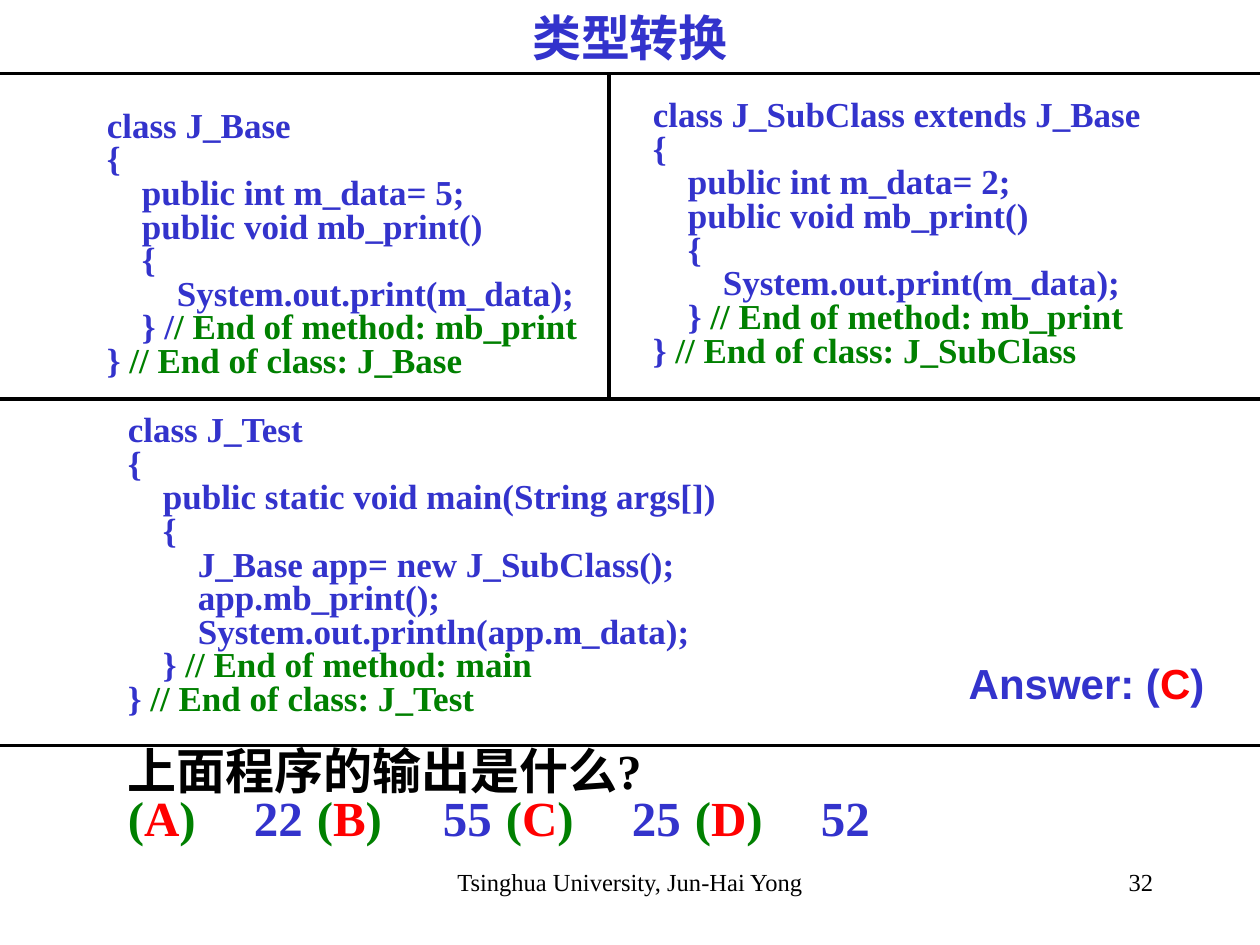
from lxml import etree
from pptx import Presentation
from pptx.dml.color import RGBColor
from pptx.enum.shapes import MSO_CONNECTOR, MSO_SHAPE
from pptx.enum.text import MSO_ANCHOR, PP_ALIGN
from pptx.oxml.ns import qn
from pptx.util import Pt

LEFT, CENTER, RIGHT = PP_ALIGN.LEFT, PP_ALIGN.CENTER, PP_ALIGN.RIGHT
TOP, MIDDLE = MSO_ANCHOR.TOP, MSO_ANCHOR.MIDDLE
STRAIGHT, RECT = MSO_CONNECTOR.STRAIGHT, MSO_SHAPE.RECTANGLE

BLUE, GREEN, RED, BLACK, WHITE = "3333CC", "008000", "FF0000", "000000", "FFFFFF"
SERIF, SANS = "Times New Roman", "Arial"
W, H = 720, 540
INDENT = 20  # one code level
TIGHT = 0.8
OPTION_TABS = (52.6, 115.4, 166.9, 222.9, 275.4, 338.3, 390.9)

# Code lines: level, code, comment
BASE = [
    (0, "class J_Base", ""),
    (0, "{", ""),
    (1, "public int m_data= 5;", ""),
    (1, "public void mb_print()", ""),
    (1, "{", ""),
    (2, "System.out.print(m_data);", ""),
    (1, "} /", "/ End of method: mb_print"),
    (0, "} ", "// End of class: J_Base"),
]
SUBCLASS = [
    (0, "class J_SubClass extends J_Base", ""),
    (0, "{", ""),
    (1, "public int m_data= 2;", ""),
    (1, "public void mb_print()", ""),
    (1, "{", ""),
    (2, "System.out.print(m_data);", ""),
    (1, "} ", "// End of method: mb_print"),
    (0, "} ", "// End of class: J_SubClass"),
]
TEST = [
    (0, "class J_Test", ""),
    (0, "{", ""),
    (1, "public static void main(String args[])", ""),
    (1, "{", ""),
    (2, "J_Base app= new J_SubClass();", ""),
    (2, "app.mb_print();", ""),
    (2, "System.out.println(app.m_data);", ""),
    (1, "} ", "// End of method: main"),
    (0, "} ", "// End of class: J_Test"),
]
OPTIONS = [("A", "22"), ("B", "55"), ("C", "25"), ("D", "52")]


def rgb(value):
    return RGBColor.from_string(value)


def add_text(tf, runs, size=20, font=SERIF, bold=True, align=LEFT,
             level=0, spacing=None, before=0, tabs=()):
    """Add one paragraph of (text, colour) runs."""
    p = tf.paragraphs[0]
    if p.runs:
        p = tf.add_paragraph()
    p.alignment = align
    p.space_before = Pt(before)
    if spacing:
        p.line_spacing = spacing
    pPr = p._p.get_or_add_pPr()
    pPr.set("marL", str(Pt(level * INDENT)))
    pPr.set("indent", "0")
    if tabs:
        tab_list = etree.SubElement(pPr, qn("a:tabLst"))
        for pos in tabs:
            etree.SubElement(tab_list, qn("a:tab"), pos=str(Pt(pos)), algn="l")
    for text, color in runs:
        r = p.add_run()
        r.text = text
        r.font.name, r.font.size, r.font.bold = font, Pt(size), bold
        r.font.color.rgb = rgb(color)


def add_box(s, box, anchor=TOP):
    tf = s.shapes.add_textbox(*map(Pt, box)).text_frame
    tf.word_wrap = True
    tf.vertical_anchor = anchor
    return tf


def add_rule(s, x1, y1, x2, y2):
    line = s.shapes.add_connector(STRAIGHT, Pt(x1), Pt(y1), Pt(x2), Pt(y2))
    line.line.color.rgb = rgb(BLACK)
    line.line.width = Pt(2.25)
    etree.SubElement(line._element.spPr, qn("a:effectLst"))


def add_code(s, box, lines):
    tf = add_box(s, box)
    for level, code, comment in lines:
        runs = [(code, BLUE)] + ([(comment, GREEN)] if comment else [])
        add_text(tf, runs, level=level, spacing=TIGHT)
    return tf


def add_question(tf):
    add_text(tf, [("上面程序的输出是什么?", BLACK)], size=28, spacing=TIGHT, before=19)
    runs = []
    for i, (letter, value) in enumerate(OPTIONS):
        runs += [("\t(" if i else "(", GREEN), (letter, RED),
                 (")\t", GREEN), (value, BLUE)]
    add_text(tf, runs, size=28, spacing=TIGHT, tabs=OPTION_TABS)


def add_answer(s, box):
    sp = s.shapes.add_shape(RECT, *map(Pt, box))
    sp.shadow.inherit = False
    sp.fill.solid()
    sp.fill.fore_color.rgb = rgb(WHITE)
    sp.line.fill.background()
    tf = sp.text_frame
    tf.word_wrap = False
    tf.vertical_anchor = TOP
    add_text(tf, [("Answer: (", BLUE), ("C", RED), (")", BLUE)], size=24, font=SANS)


def main():
    prs = Presentation()
    prs.slide_width, prs.slide_height = Pt(W), Pt(H)
    s = prs.slides.add_slide(prs.slide_layouts[6])

    # Footer and slide number
    for text, box, align in (
        ("Tsinghua University, Jun-Hai Yong", (246, 492, 228, 36), CENTER),
        ("32", (516, 492, 150, 36), RIGHT),
    ):
        add_text(add_box(s, box), [(text, BLACK)], size=14, bold=False, align=align)

    # Title
    add_text(add_box(s, (54, 6, 612, 30), MIDDLE), [("类型转换", BLUE)],
             size=28, align=CENTER)

    # Code panels, answer and question
    add_code(s, (54, 60, 288, 162), BASE)
    add_code(s, (366, 54, 294, 162), SUBCLASS)
    add_answer(s, (546.5, 372, 149, 36))
    add_question(add_code(s, (66, 234, 582, 258), TEST))

    # Dividing lines
    for y in (42, 228, 426):
        add_rule(s, 0, y, W, y)
    add_rule(s, 348, 42, 348, 228)

    prs.save("out.pptx")


if __name__ == "__main__":
    main()
